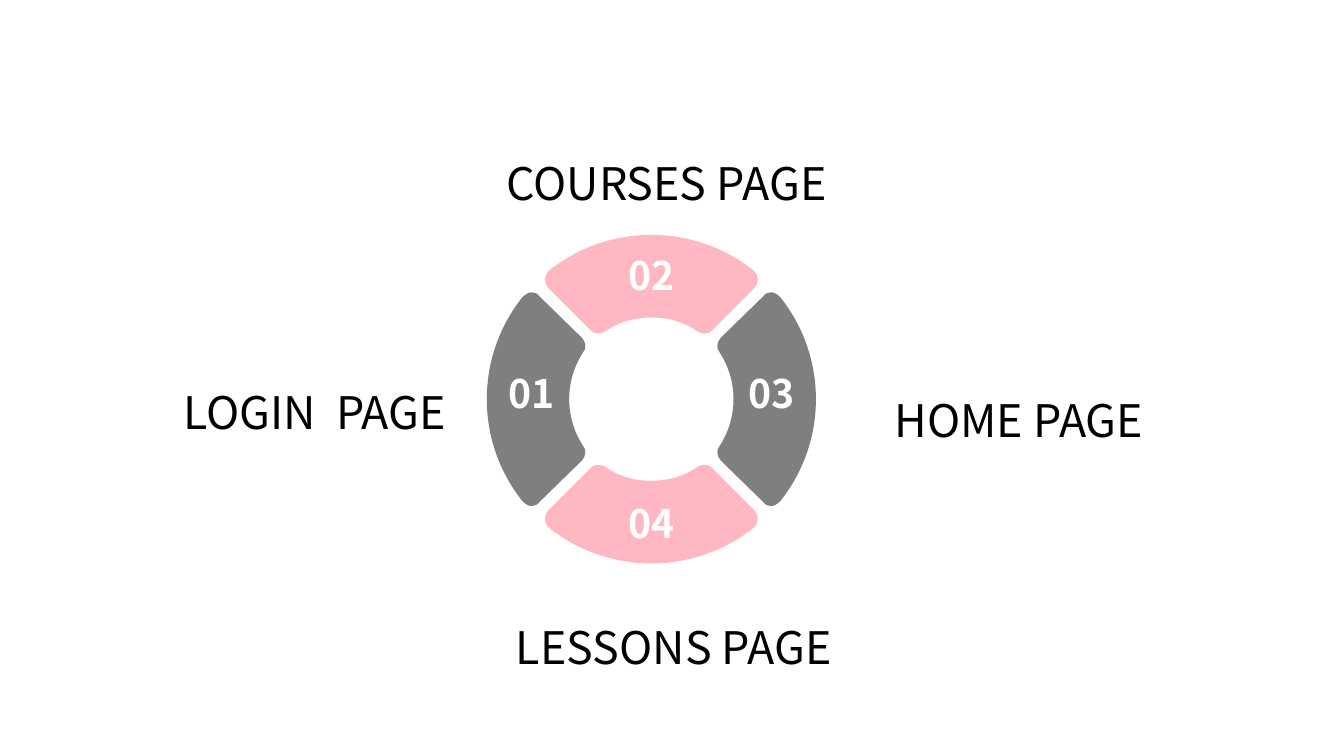
from lxml.etree import SubElement
from pptx import Presentation
from pptx.dml.color import RGBColor
from pptx.enum.text import MSO_ANCHOR, MSO_AUTO_SIZE, PP_ALIGN
from pptx.oxml.ns import qn
from pptx.util import Inches, Pt

CELL = Inches(0.1)
COLUMNS, ROWS = 133.33, 75
HUB = (64.62, 39.6)
GRAY, PINK, WHITE, BLACK = "7F7F7F", "FFB8C2", "FFFFFF", "000000"

CAP = {
    "half": [
        (0, -16.3), (3.6, -16.3), (7.2, -15.1), (10.1, -12.8),
        (10.7, -12.3), (10.7, -11.5), (10.2, -11), (6.1, -6.9),
        (5.8, -6.6), (5.6, -6.5), (5.3, -6.5),
        (5, -6.5), (4.8, -6.6), (4.6, -6.7),
        (3.2, -7.7), (1.6, -8.1), (0, -8.1),
    ],
    "closing": [(0, -16.3)],
    "sizes": (3, 3, 1, 3, 3, 3, 3, 3, 3, 1, 3, 3),
}
SIDE = {
    "half": [
        (10.1, -12.8), (10.4, -12.5), (10.6, -12.2), (10.6, -11.9),
        (10.6, -11.6), (10.5, -11.3), (10.2, -11.1), (6.1, -6.9),
        (5.7, -6.5), (5.7, -6.4), (4.6, -6.8), (1.8, -8.6),
    ],
    "closing": [(-4.2, -17.5), (4.2, -17.5), (10.1, -12.8)],
    "sizes": (3, 3, 1, 3, 3, 3, 1, 3, 3, 3),
}
SIDE["half"][8:10] = [(5.7, -6.5), (5, -6.4)]

PETALS = [(SIDE, 1, GRAY), (SIDE, 3, GRAY), (CAP, 2, PINK), (CAP, 0, PINK)]
NUMBERS = [
    ("01", (-11.92, -0.65)),
    ("02", (0, -12.32)),
    ("03", (11.92, -0.65)),
    ("04", (0, 12.25)),
]

SPACED = {"alignment": PP_ALIGN.JUSTIFY, "line_spacing": 1.5}
LABELS = [
    ("HOME PAGE", (87.75, 35.8, 38.5, 8.3), SPACED),
    ("LOGIN  PAGE", (17.2, 37.7, 31.2, 6.4), {}),
    ("LESSONS PAGE", (50.2, 58.3, 38.5, 9.1), SPACED),
    ("COURSES PAGE", (49.25, 14.95, 43, 6.4), {}),
]


def color(value):
    return RGBColor.from_string(value)


def apply(target, values):
    for name, value in values.items():
        setattr(target, name, value)


def cells(*values):
    return [round(value * CELL) for value in values]


def petal_outline(petal, turns):
    mirrored = [(-x, y) for x, y in reversed(petal["half"]) if x]
    outline = petal["half"] + mirrored + petal["closing"]
    for _ in range(turns):
        outline = [(-y, x) for x, y in outline]
    return outline


def bend(shape, sizes):
    outline = shape.element.find(".//" + qn("a:path"))
    lines = iter(outline.findall(qn("a:lnTo")))
    for size in sizes:
        group = [next(lines) for _ in range(size)]
        if size == 3:
            curve = SubElement(outline, qn("a:cubicBezTo"))
            group[0].addprevious(curve)
            for line in group:
                curve.append(line[0])
                outline.remove(line)


class PageWheel:
    font = "Noto Sans CJK SC"

    def __init__(self, presentation):
        self.slide = presentation.slides.add_slide(presentation.slide_layouts[6])

    def petal(self, petal, turns, fill):
        points = [cells(HUB[0] + x, HUB[1] + y) for x, y in petal_outline(petal, turns)]
        builder = self.slide.shapes.build_freeform(*points[0])
        builder.add_line_segments(points[1:], close=True)
        shape = builder.convert_to_shape()
        bend(shape, petal["sizes"])
        shape.shadow.inherit = False
        shape.fill.solid()
        shape.fill.fore_color.rgb = color(fill)
        shape.line.fill.background()

    def text(self, words, box, size, fill, bold, frame_format, paragraph_format):
        frame = self.slide.shapes.add_textbox(*cells(*box)).text_frame
        apply(frame, {"word_wrap": True, **frame_format})
        paragraph = frame.paragraphs[0]
        apply(paragraph, paragraph_format)
        run = paragraph.add_run()
        run.text = words
        apply(run.font, {"name": self.font, "size": Pt(size), "bold": bold})
        run.font.color.rgb = color(fill)

    def number(self, words, offset):
        width, height = 14.2, 11.9
        box = (HUB[0] + offset[0] - width / 2, HUB[1] + offset[1] - height / 2,
               width, height)
        sides = ("left", "right", "top", "bottom")
        frame_format = {f"margin_{side}": Inches(0.13) for side in sides}
        frame_format["vertical_anchor"] = MSO_ANCHOR.MIDDLE
        self.text(words, box, 28, WHITE, True, frame_format,
                  {"alignment": PP_ALIGN.CENTER})

    def label(self, words, box, paragraph_format):
        self.text(words, box, 32, BLACK, False,
                  {"auto_size": MSO_AUTO_SIZE.SHAPE_TO_FIT_TEXT}, paragraph_format)


def main():
    presentation = Presentation()
    presentation.slide_width, presentation.slide_height = cells(COLUMNS, ROWS)
    wheel = PageWheel(presentation)
    for petal, turns, fill in PETALS:
        wheel.petal(petal, turns, fill)
    for words, offset in NUMBERS:
        wheel.number(words, offset)
    for words, box, paragraph_format in LABELS:
        wheel.label(words, box, paragraph_format)
    presentation.save("out.pptx")


if __name__ == "__main__":
    main()
